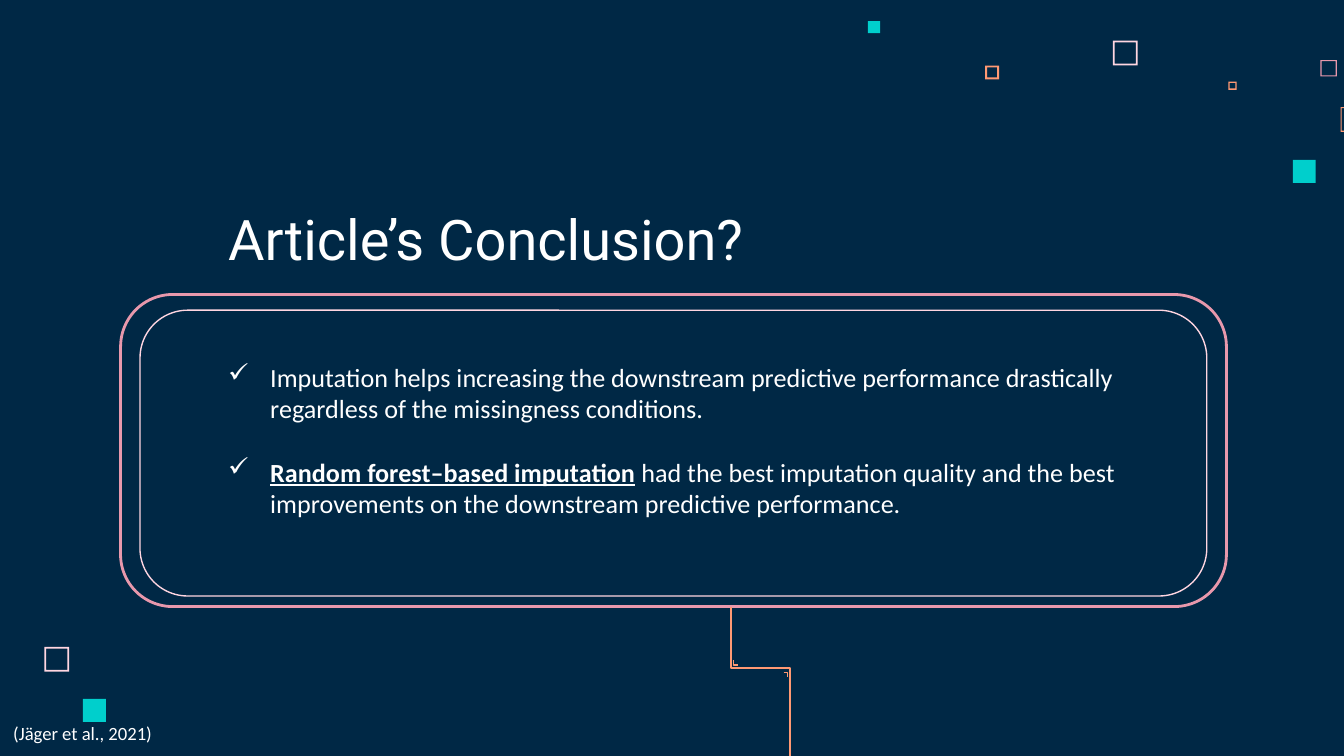
from dataclasses import dataclass

from lxml import etree
from pptx import Presentation
from pptx.dml.color import RGBColor
from pptx.enum.shapes import MSO_SHAPE
from pptx.enum.text import MSO_ANCHOR
from pptx.oxml.ns import qn
from pptx.util import Pt

FRAME = MSO_SHAPE.FRAME
RECTANGLE = MSO_SHAPE.RECTANGLE
ROUNDED = MSO_SHAPE.ROUNDED_RECTANGLE
BOTTOM = MSO_ANCHOR.BOTTOM
TOP = MSO_ANCHOR.TOP


@dataclass(frozen=True)
class Theme:
    navy: RGBColor = RGBColor.from_string("002845")
    white: RGBColor = RGBColor.from_string("FFFFFF")
    blush: RGBColor = RGBColor.from_string("FFD6E1")
    pink: RGBColor = RGBColor.from_string("E898AC")
    orange: RGBColor = RGBColor.from_string("FF9973")
    teal: RGBColor = RGBColor.from_string("00CFCC")
    heading_font: str = "Roboto"
    body_font: str = "Calibri"
    title_size: float = 30
    body_size: float = 14
    citation_size: float = 10


THEME = Theme()


def add_square(page, left, top, size, color, border=0):
    kind = FRAME if border else RECTANGLE
    square = page.shapes.add_shape(kind, Pt(left), Pt(top), Pt(size), Pt(size))
    if border:
        square.adjustments[0] = border / size
    square.shadow.inherit = False
    square.fill.solid()
    square.fill.fore_color.rgb = color
    square.line.fill.background()


def add_rounded_outline(page, left, top, width, height, color, weight):
    outline = page.shapes.add_shape(ROUNDED, Pt(left), Pt(top), Pt(width), Pt(height))
    outline.adjustments[0] = 0.167
    outline.shadow.inherit = False
    outline.fill.background()
    outline.line.color.rgb = color
    outline.line.width = Pt(weight)


def add_trace(page, points, color, weight):
    corners = [(Pt(x), Pt(y)) for x, y in points]
    builder = page.shapes.build_freeform(*corners[0])
    builder.add_line_segments(corners[1:], close=False)
    trace = builder.convert_to_shape()
    trace.shadow.inherit = False
    trace.fill.background()
    trace.line.color.rgb = color
    trace.line.width = Pt(weight)


def add_text_frame(page, left, top, width, height, inset=3.6, anchor=TOP):
    box = page.shapes.add_textbox(Pt(left), Pt(top), Pt(width), Pt(height))
    frame = box.text_frame
    frame.word_wrap = True
    frame.vertical_anchor = anchor
    frame.margin_top = frame.margin_bottom = Pt(inset)
    return frame


def add_span(para, text, font, size, strong=False):
    span = para.add_run()
    span.text = text
    span.font.name = font
    span.font.size = Pt(size)
    span.font.color.rgb = THEME.white
    span.font.bold = strong
    span.font.underline = strong


def add_check_bullet(para, indent):
    properties = para._p.get_or_add_pPr()
    properties.set("marL", str(Pt(indent)))
    properties.set("indent", str(Pt(-indent)))
    bullet_color = etree.SubElement(properties, qn("a:buClr"))
    etree.SubElement(bullet_color, qn("a:srgbClr"), val=str(THEME.white))
    etree.SubElement(properties, qn("a:buChar"), char="✓")


def add_conclusions(page, conclusions):
    frame = add_text_frame(page, 115.2, 190.1, 496, 92)
    for index, spans in enumerate(conclusions):
        para = frame.add_paragraph() if index else frame.paragraphs[0]
        add_check_bullet(para, 22.5)
        if index:
            para.space_before = Pt(17)
        for text, strong in spans:
            add_span(para, text, THEME.body_font, THEME.body_size, strong)


def main():
    deck = Presentation()
    deck.slide_width, deck.slide_height = Pt(720), Pt(405)
    page = deck.slides.add_slide(deck.slide_layouts[6])
    page.background.fill.solid()
    page.background.fill.fore_color.rgb = THEME.navy

    squares = [
        (596.2, 21.8, 13.2, THEME.blush, 0.9),
        (707.4, 32.2, 8.8, THEME.pink, 0.6),
        (658.1, 43.7, 4.4, THEME.orange, 0.7),
        (718.2, 57.4, 13.2, THEME.orange, 0.6),
        (692.6, 85.7, 12.3, THEME.teal, 0),
        (527.8, 35.1, 7.4, THEME.orange, 1),
        (465, 11.3, 6.5, THEME.teal, 0),
        (23.8, 346.6, 13.2, THEME.blush, 0.9),
        (44.4, 374.4, 12.4, THEME.teal, 0),
    ]
    for square in squares:
        add_square(page, *square)

    add_rounded_outline(page, 64.6, 157.8, 592.4, 167.2, THEME.pink, 1.5)
    add_rounded_outline(page, 75, 166.2, 571.5, 153.1, THEME.blush, 0.75)

    title = add_text_frame(page, 115.2, 107.3, 420.5, 45.4, 7.2, BOTTOM)
    add_span(title.paragraphs[0], "Article’s Conclusion?", THEME.heading_font, THEME.title_size)

    add_trace(page, [(391.7, 325.4), (391.7, 357.8), (423.4, 357.8), (423.4, 405)], THEME.orange, 0.9)
    add_trace(page, [(419.8, 360.2), (422, 360.2), (422, 362.9)], THEME.orange, 0.75)
    add_trace(page, [(393.1, 353.5), (393.1, 356.2), (395.3, 356.2)], THEME.orange, 0.75)

    add_conclusions(page, [
        [("Imputation helps increasing the downstream predictive performance drastically "
          "regardless of the missingness conditions.", False)],
        [("Random forest–based imputation", True),
         (" had the best imputation quality and the best improvements on the downstream "
          "predictive performance.", False)],
    ])

    citation = add_text_frame(page, 0, 383.2, 101.5, 19.4)
    add_span(citation.paragraphs[0], "(Jäger et al., 2021)", THEME.body_font, THEME.citation_size)

    deck.save("out.pptx")


if __name__ == "__main__":
    main()
